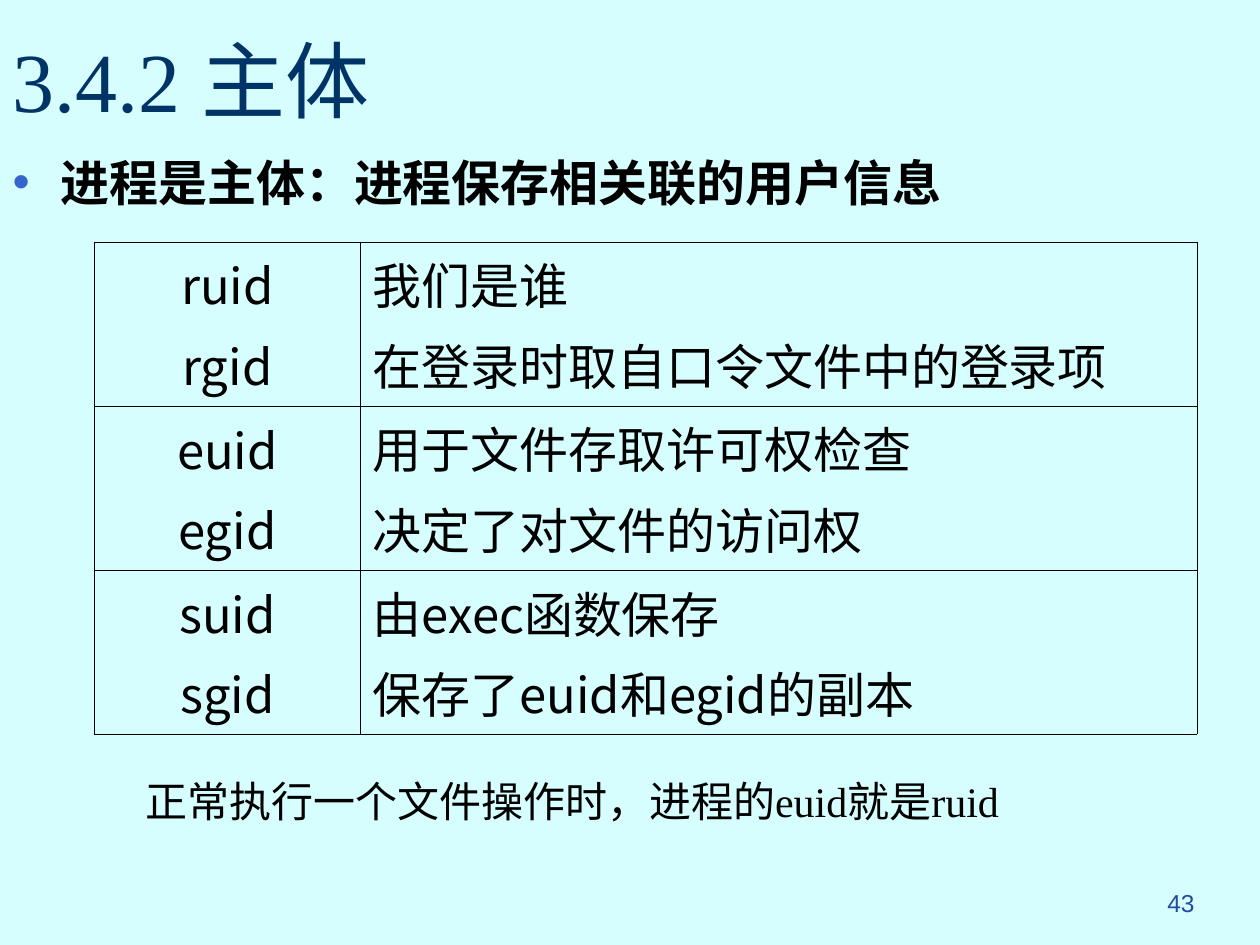
"""Build the slide on processes as subjects and their user IDs."""
from lxml import etree
from pptx import Presentation
from pptx.dml.color import RGBColor
from pptx.enum.text import MSO_ANCHOR, MSO_AUTO_SIZE, PP_ALIGN
from pptx.oxml.ns import qn
from pptx.util import Inches, Pt

LEFT, CENTER, RIGHT = PP_ALIGN.LEFT, PP_ALIGN.CENTER, PP_ALIGN.RIGHT
TOP, MIDDLE = MSO_ANCHOR.TOP, MSO_ANCHOR.MIDDLE
NO_AUTOFIT = MSO_AUTO_SIZE.NONE

BACKGROUND = RGBColor(0xD6, 0xFE, 0xFE)
NAVY = RGBColor(0x00, 0x33, 0x66)
BLUE = RGBColor(0x25, 0x4C, 0x9C)
BULLET_BLUE = RGBColor(0x33, 0x66, 0xCC)
BLACK = RGBColor(0x00, 0x00, 0x00)

SANS, SERIF, CJK = "Arial", "Times New Roman", "Noto Sans CJK SC"

ID_ROWS = [
    (["ruid", "rgid"], ["我们是谁", "在登录时取自口令文件中的登录项"]),
    (["euid", "egid"], ["用于文件存取许可权检查", "决定了对文件的访问权"]),
    (["suid", "sgid"], ["由exec函数保存", "保存了euid和egid的副本"]),
]


def write_paragraph(p, text, size, font, color, align=LEFT, bold=False,
                    before=0, spacing=1.0):
    """Write one formatted run into a paragraph."""
    p.alignment = align
    p.line_spacing = spacing
    p.space_before = Pt(before)
    r = p.add_run()
    r.text = text
    r.font.size = Pt(size)
    r.font.bold = bold
    r.font.color.rgb = color
    r.font.name = font
    etree.SubElement(r.font._element, qn("a:ea"), typeface=CJK)


def place(sp, left, top, width, height, anchor=TOP):
    """Position a text shape and return its first paragraph."""
    sp.left, sp.top = Inches(left), Inches(top)
    sp.width, sp.height = Inches(width), Inches(height)
    tf = sp.text_frame
    tf.word_wrap = True
    tf.auto_size = NO_AUTOFIT
    tf.vertical_anchor = anchor
    return tf.paragraphs[0]


def add_text(s, box, *args, **kwargs):
    """Add a text box holding one paragraph."""
    sp = s.shapes.add_textbox(0, 0, 0, 0)
    write_paragraph(place(sp, *box), *args, **kwargs)


def add_bullet(p, indent):
    """Give a paragraph a coloured bullet with a hanging indent."""
    pPr = p._p.get_or_add_pPr()
    pPr.set("marL", str(Inches(indent)))
    pPr.set("indent", str(-Inches(indent)))
    color = etree.SubElement(pPr, qn("a:buClr"))
    etree.SubElement(color, qn("a:srgbClr"), val=str(BULLET_BLUE))
    etree.SubElement(pPr, qn("a:buFont"), typeface=SANS)
    etree.SubElement(pPr, qn("a:buChar"), char="•")


def set_borders(cell):
    """Draw thin black lines on all sides of a cell."""
    tcPr = cell._tc.get_or_add_tcPr()
    for i, side in enumerate(("a:lnL", "a:lnR", "a:lnT", "a:lnB")):
        ln = etree.Element(qn(side), w=str(Pt(0.5)))
        fill = etree.SubElement(ln, qn("a:solidFill"))
        etree.SubElement(fill, qn("a:srgbClr"), val=str(BLACK))
        tcPr.insert(i, ln)


def fill_cell(cell, lines, align, anchor):
    """Write the lines of a cell and style it."""
    cell.fill.background()
    set_borders(cell)
    cell.vertical_anchor = anchor
    tf = cell.text_frame
    for i, line in enumerate(lines):
        p = tf.add_paragraph() if i else tf.paragraphs[0]
        write_paragraph(p, line, 28, CJK, BLACK, align, before=5.6)


def add_id_table(s):
    """Add the table of process IDs and their meanings."""
    table = s.shapes.add_table(len(ID_ROWS), 2, Inches(0.75), Inches(1.92),
                               Inches(8.75), Inches(3.75)).table
    table.first_row = table.horz_banding = False
    for column, width in zip(table.columns, (2.11, 6.64)):
        column.width = Inches(width)
    for i, (names, meanings) in enumerate(ID_ROWS):
        fill_cell(table.cell(i, 0), names, CENTER, MIDDLE)
        fill_cell(table.cell(i, 1), meanings, LEFT, TOP)


def main():
    """Build and save the slide."""
    prs = Presentation()
    prs.slide_width, prs.slide_height = Inches(10), Inches(7.5)
    s = prs.slides.add_slide(prs.slide_layouts[1])
    s.background.fill.solid()
    s.background.fill.fore_color.rgb = BACKGROUND

    add_text(s, (7.5, 7, 2.08, 0.5), "43", 14, SANS, BLUE, RIGHT, before=7)
    p = place(s.shapes.title, 0, 0, 10, 1.25, MIDDLE)
    write_paragraph(p, "3.4.2 主体", 48, SERIF, NAVY)
    p = place(s.placeholders[1], 0, 1.25, 10, 0.67)
    write_paragraph(p, "进程是主体：进程保存相关联的用户信息", 28, SANS, BLACK,
                    bold=True, before=5.6, spacing=0.8)
    add_bullet(p, 0.38)
    add_id_table(s)
    add_text(s, (0.5, 6.18, 8.08, 0.83),
             "正常执行一个文件操作时，进程的euid就是ruid", 24, SERIF, BLACK,
             CENTER, spacing=0.8)
    prs.save("out.pptx")


if __name__ == "__main__":
    main()
